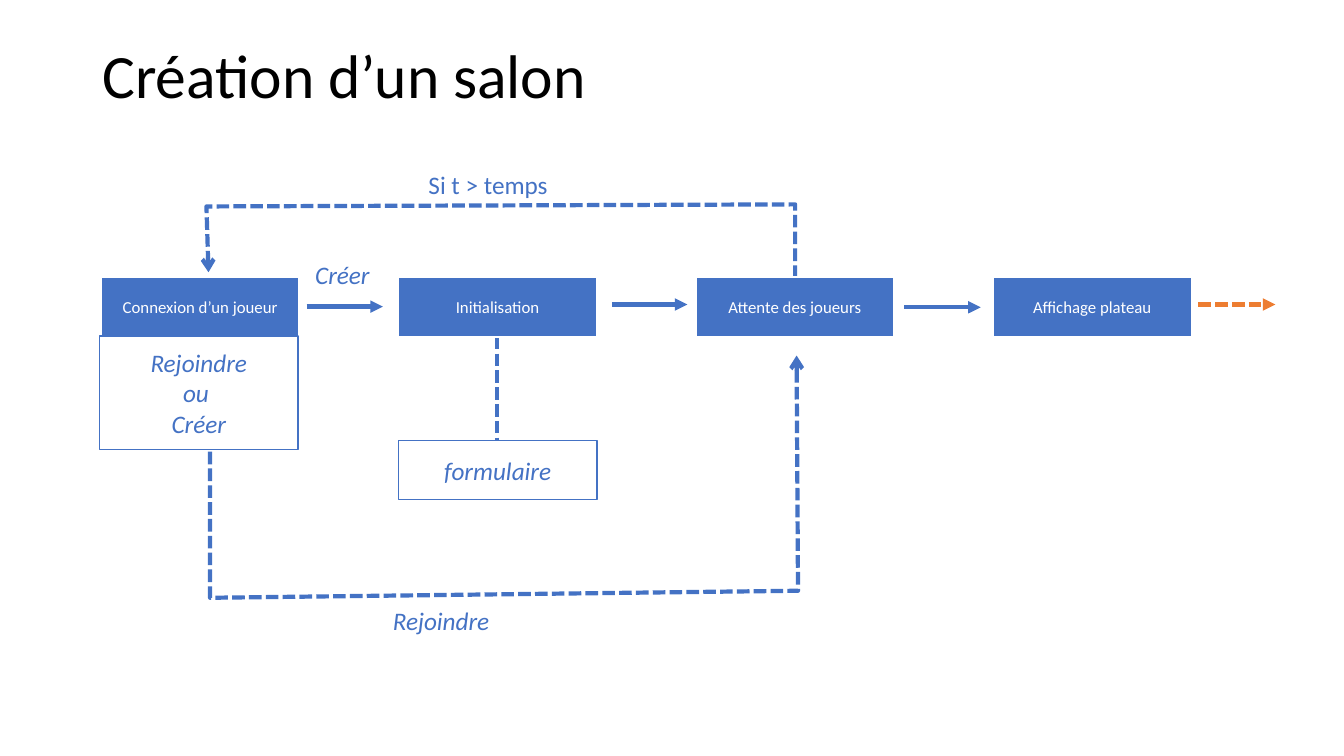
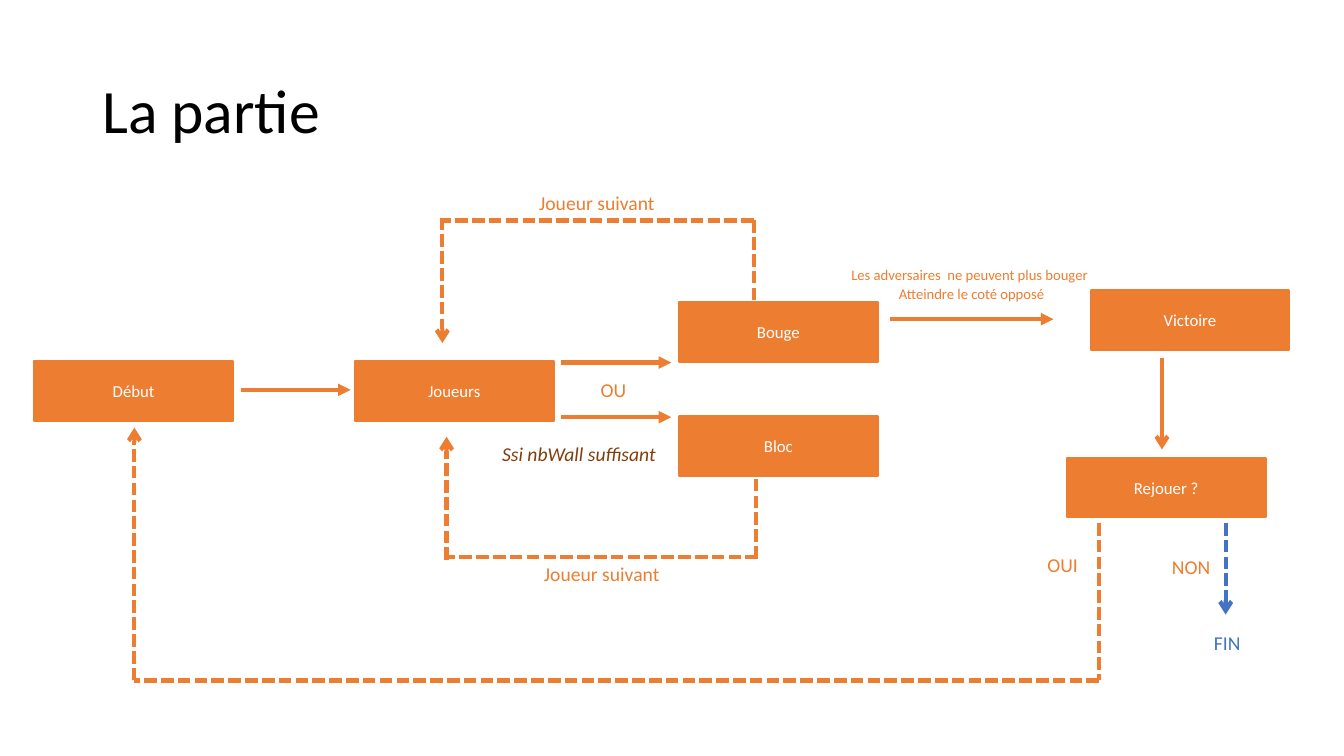
from dataclasses import dataclass

from lxml.etree import SubElement
from pptx import Presentation
from pptx.dml.color import RGBColor
from pptx.enum.dml import MSO_LINE
from pptx.enum.shapes import MSO_CONNECTOR, MSO_SHAPE
from pptx.enum.text import MSO_ANCHOR as Anchor, MSO_AUTO_SIZE as AutoSize, PP_ALIGN as Align
from pptx.oxml.ns import qn
from pptx.util import Pt


@dataclass(frozen=True)
class Theme:
    """Colours, type sizes and measures shared by both slides."""
    font: str = "Calibri"
    black: str = "000000"
    white: str = "FFFFFF"
    blue: str = "4472C4"
    orange: str = "ED7D31"
    brown: str = "843C0B"
    title: float = 44
    note: float = 18
    label: float = 14
    step: float = 12
    small: float = 10.5
    route: float = 3
    box_width: float = 142
    box_height: float = 42.5


T = Theme()
SLIDE_SIZE = (960, 540)
TITLE_AREA = (66, 29, 828, 104)
STEP_LEFT, STEP_TOP, STEP_PITCH = 72, 198, 212.4

# Box style: fill, outline, outline width, type size, ink, italic
BOX_STYLES = {
    "lobby": (T.blue, T.white, 1.5, T.step, T.white, False),
    "game": (T.orange, T.orange, 1.5, T.step, T.white, False),
    "note": (T.white, T.blue, 1, T.note, T.blue, True),
}

# Link style: colour, dashed, arrowhead
LINK_STYLES = {
    "lobby": (T.blue, False, "triangle"),
    "lobby dashes": (T.blue, True, None),
    "lobby return": (T.blue, True, "arrow"),
    "to game": (T.orange, True, "triangle"),
    "game": (T.orange, False, "triangle"),
    "game down": (T.orange, False, "arrow"),
    "game dashes": (T.orange, True, None),
    "game return": (T.orange, True, "arrow"),
}

LOBBY_STEPS = ["Connexion d’un joueur", "Initialisation",
               "Attente des joueurs", "Affichage plateau"]

# Boxes: style, text, left, top, height
# Links: style, points in the direction of the arrow
# Labels: text, left, top, width, type size, colour, italic
SLIDES = [
    {
        "title": ("Création d’un salon", Anchor.TOP),
        "boxes": [
            *(("lobby", step, STEP_LEFT + STEP_PITCH * i, STEP_TOP, T.box_height)
              for i, step in enumerate(LOBBY_STEPS)),
            ("note", "formulaire", 284.5, 314.5, T.box_height),
            ("note", "Rejoindre\nou \nCréer", 71, 240, 81),
        ],
        "links": [
            ("lobby", [(219, 219), (273.5, 219)]),
            ("lobby", [(437, 217.5), (491, 217.5)]),
            ("lobby", [(646, 219.5), (700.5, 219.5)]),
            ("to game", [(856, 217.5), (911, 217.5)]),
            ("lobby dashes", [(355, 240.5), (355, 314.5)]),
            ("lobby return", [(568, 198.5), (568, 146), (147.5, 147.5), (149, 194.5)]),
            ("lobby return", [(150, 238.5), (150, 427), (570, 422), (569, 254)]),
        ],
        "labels": [
            ("Si t > temps", 299, 117.5, 163, T.note, T.blue, False),
            ("Créer", 218, 181.5, 73, T.note, T.blue, True),
            ("Rejoindre", 273.5, 429, 480, T.note, T.blue, True),
        ],
    },
    {
        "title": ("La partie", Anchor.MIDDLE),
        "boxes": [
            ("game", text, left, top, T.box_height) for text, left, top in [
                ("Début", 24.5, 258),
                ("Joueurs", 253.5, 258),
                ("Bloc", 485, 297.5),
                ("Bouge", 485, 216),
                ("Victoire", 779, 207.5),
                ("Rejouer ?", 762, 327),
            ]
        ],
        "links": [
            ("game", [(172, 278.5), (250.5, 278.5)]),
            ("game", [(401, 259), (479.5, 259)]),
            ("game", [(401, 298), (479.5, 298)]),
            ("game", [(636, 228), (752.5, 228)]),
            ("game down", [(830, 255.5), (830, 321)]),
            ("game dashes", [(538.5, 214.5), (538.5, 155.5)]),
            ("game dashes", [(538.5, 157.5), (316, 157.5)]),
            ("game return", [(316, 155.5), (316, 245)]),
            ("game dashes", [(540, 342), (540, 400)]),
            ("game dashes", [(541.5, 398), (319, 398)]),
            ("game return", [(319, 400), (319, 312)]),
            ("game dashes", [(785, 373.5), (785, 486)]),
            ("game dashes", [(785, 486), (96, 486)]),
            ("game return", [(96, 486), (96, 305.5)]),
            ("lobby return", [(875.5, 373.5), (875.5, 439)]),
        ],
        "labels": [
            ("OU", 422, 266.5, 61, T.label, T.orange, False),
            ("Ssi nbWall suffisant", 351.5, 312, 142, T.label, T.brown, True),
            ("Joueur suivant", 378, 133, 104.5, T.label, T.orange, False),
            ("Joueur suivant", 381.5, 397.5, 104.5, T.label, T.orange, False),
            ("Les adversaires  ne peuvent plus bouger", 601, 186, 198, T.small, T.orange, False),
            ("Atteindre le coté opposé", 635, 200, 150, T.small, T.orange, False),
            ("OUI", 741, 391.5, 61, T.label, T.orange, False),
            ("NON", 830, 392.5, 61, T.label, T.orange, False),
            ("FIN", 860, 447, 61, T.label, T.blue, False),
        ],
    },
]


def assign(target, values):
    """Set every attribute in values on target."""
    for name, value in values.items():
        setattr(target, name, value)


def write(frame, text, size, colour, italic=False, frame_format=None, paragraph_format=None):
    """Put text, one paragraph a line, into a frame."""
    assign(frame, {"word_wrap": True, **(frame_format or {})})
    frame.text = text
    for paragraph in frame.paragraphs:
        assign(paragraph, paragraph_format or {})
        for run in paragraph.runs:
            assign(run.font, {"name": T.font, "size": Pt(size), "italic": italic})
            run.font.color.rgb = RGBColor.from_string(colour)


def draw_title(slide, text, anchor):
    """Add the slide title."""
    title = slide.shapes.add_textbox(*map(Pt, TITLE_AREA))
    write(title.text_frame, text, T.title, T.black,
          frame_format={"vertical_anchor": anchor}, paragraph_format={"line_spacing": 0.9})


def draw_box(slide, style, text, left, top, height):
    """Add one box of the flow."""
    fill, outline, width, size, ink, italic = BOX_STYLES[style]
    box = slide.shapes.add_shape(MSO_SHAPE.RECTANGLE, *map(Pt, (left, top, T.box_width, height)))
    box.shadow.inherit = False
    box.fill.solid()
    box.fill.fore_color.rgb = RGBColor.from_string(fill)
    box.line.color.rgb = RGBColor.from_string(outline)
    box.line.width = Pt(width)
    write(box.text_frame, text, size, ink, italic,
          {"vertical_anchor": Anchor.MIDDLE}, {"alignment": Align.CENTER})


def draw_link(slide, style, points):
    """Add a straight connector, or an open outline when the link has corners."""
    colour, dashed, arrowhead = LINK_STYLES[style]
    corners = [(Pt(x), Pt(y)) for x, y in points]
    straight = len(corners) == 2
    if straight:
        link = slide.shapes.add_connector(MSO_CONNECTOR.STRAIGHT, *corners[0], *corners[1])
    else:
        builder = slide.shapes.build_freeform(*corners[0])
        builder.add_line_segments(corners[1:], close=False)
        link = builder.convert_to_shape()
        link.fill.background()
        link.shadow.inherit = False
    link.line.color.rgb = RGBColor.from_string(colour)
    link.line.width = Pt(T.route)
    if dashed:
        link.line.dash_style = MSO_LINE.SQUARE_DOT
    if arrowhead:
        SubElement(link.get_or_add_ln(), qn("a:tailEnd"), type=arrowhead)
    if straight:
        SubElement(link._element.spPr, qn("a:effectLst"))


def draw_label(slide, text, left, top, width, size, colour, italic):
    """Add free text beside a link."""
    height = size * 1.22 + 7.2
    label = slide.shapes.add_textbox(*map(Pt, (left, top, width, height)))
    write(label.text_frame, text, size, colour, italic,
          {"auto_size": AutoSize.SHAPE_TO_FIT_TEXT})


def build():
    """Build and save both slides."""
    deck = Presentation()
    deck.slide_width, deck.slide_height = map(Pt, SLIDE_SIZE)
    for content in SLIDES:
        slide = deck.slides.add_slide(deck.slide_layouts[6])
        draw_title(slide, *content["title"])
        for part, draw in (("links", draw_link), ("boxes", draw_box), ("labels", draw_label)):
            for item in content[part]:
                draw(slide, *item)
    deck.save("out.pptx")


build()
